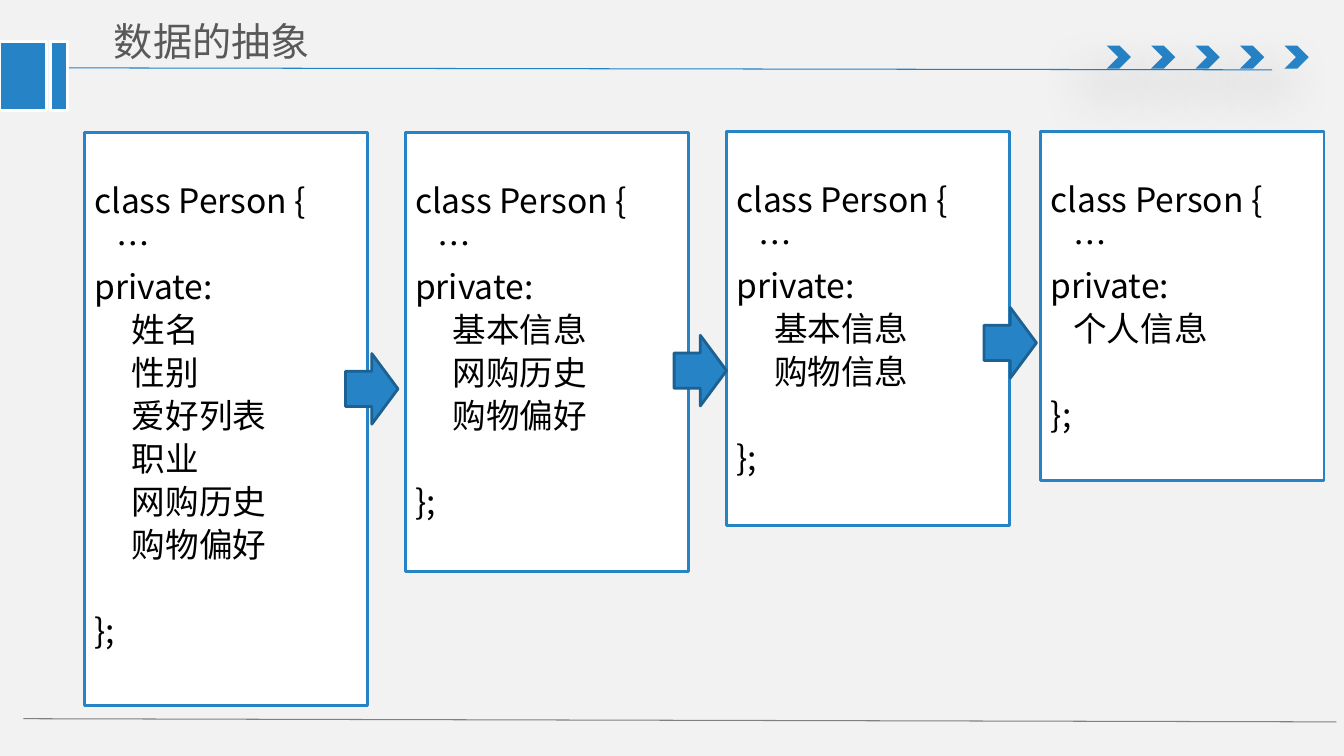
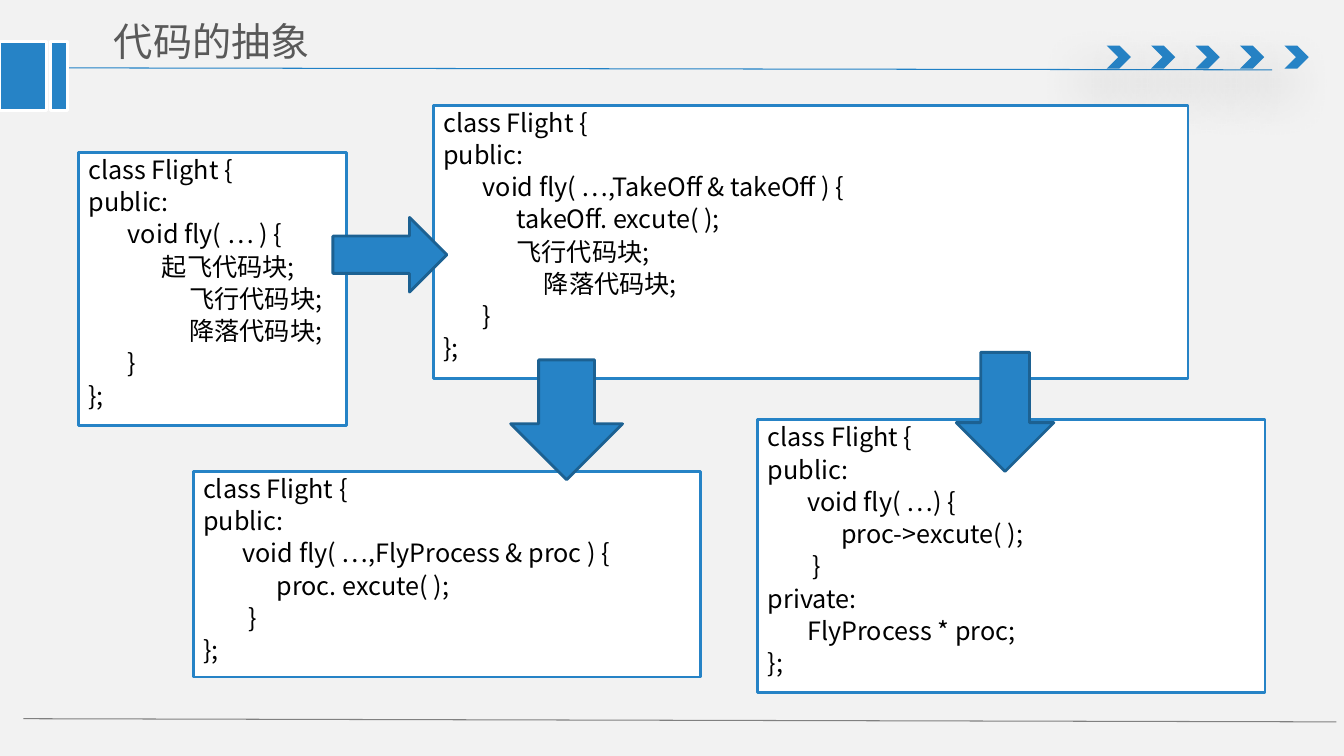
from dataclasses import dataclass

from lxml.etree import SubElement
from pptx import Presentation
from pptx.dml.color import RGBColor
from pptx.enum.shapes import MSO_CONNECTOR, MSO_SHAPE
from pptx.enum.text import MSO_ANCHOR, MSO_AUTO_SIZE, PP_ALIGN
from pptx.oxml.ns import qn
from pptx.util import Cm, Pt


@dataclass(frozen=True)
class Theme:
    background: str = "F2F2F2"
    blue: str = "2683C6"
    dark_blue: str = "1C6192"
    rule_blue: str = "2181C6"
    grey: str = "808080"
    title: str = "595959"
    text: str = "000000"
    white: str = "FFFFFF"
    font: str = "Noto Sans CJK SC"
    title_size: int = 28
    person_size: int = 24
    flight_size: int = 18


theme = Theme()


def add_shape(slide, kind, box, fill, line=None):
    shape = slide.shapes.add_shape(kind, *[Cm(length) for length in box])
    shape.shadow.inherit = False
    shape.fill.solid()
    shape.fill.fore_color.rgb = RGBColor.from_string(fill)
    if line:
        shape.line.color.rgb = RGBColor.from_string(line)
        shape.line.width = Pt(2)
    else:
        shape.line.fill.background()
    return shape


def style_paragraph(paragraph, size, color):
    paragraph.alignment = PP_ALIGN.LEFT
    paragraph.font.size = Pt(size)
    paragraph.font.name = theme.font
    paragraph.font.color.rgb = RGBColor.from_string(color)
    properties = paragraph._p.pPr.find(qn("a:defRPr"))
    SubElement(properties, qn("a:ea"), typeface=theme.font)


# Slide content: code boxes and arrows as left, top, width, height in cm
person_boxes = [
    ((2.13, 3.35, 7.14, 14.43), 5, ["姓名", "性别", "爱好列表", "职业", "网购历史", "购物偏好"]),
    ((10.21, 3.35, 7.14, 11.05), 5, ["基本信息", "网购历史", "购物偏好"]),
    ((18.31, 3.32, 7.14, 9.93), 5, ["基本信息", "购物信息"]),
    ((26.23, 3.32, 7.14, 8.79), 3, ["个人信息"]),
]
person_code = [
    (box, ["class Person {", "   …", "private:"] + [" " * indent + field for field in fields] + ["};"])
    for box, indent, fields in person_boxes
]

flight_boxes = [
    ((1.98, 3.84, 6.76, 6.88), [
        "       void fly( … ) {",
        "             起飞代码块;",
        "\t飞行代码块;",
        "\t降落代码块;",
        "       }",
    ]),
    ((10.92, 2.65, 19.02, 6.88), [
        "       void fly( …,TakeOff & takeOff ) {",
        "             takeOff. excute( );",
        "             飞行代码块;",
        "\t降落代码块;",
        "       }",
    ]),
    ((4.87, 11.88, 12.78, 5.18), [
        "       void fly( …,FlyProcess & proc ) {",
        "             proc. excute( );",
        "        }",
    ]),
    ((19.1, 10.58, 12.78, 6.88), [
        "       void fly( …) {",
        "             proc->excute( );",
        "        }",
        "private:",
        "       FlyProcess * proc;",
    ]),
]
flight_code = [(box, ["class Flight {", "public:"] + body + ["};"]) for box, body in flight_boxes]

# Title, code boxes, type size, top inset (cm), space before the last line (pt), arrows
slide_contents = [
    ("数据的抽象", person_code, theme.person_size, 1.31, 35.6, [
        (MSO_SHAPE.RIGHT_ARROW, (8.71, 8.91, 1.32, 1.78)),
        (MSO_SHAPE.RIGHT_ARROW, (16.99, 8.45, 1.32, 1.78)),
        (MSO_SHAPE.RIGHT_ARROW, (24.8, 7.75, 1.32, 1.78)),
    ]),
    ("代码的抽象", flight_code, theme.flight_size, 0.13, 0.2 * theme.flight_size, [
        (MSO_SHAPE.RIGHT_ARROW, (8.39, 5.48, 2.87, 1.88)),
        (MSO_SHAPE.DOWN_ARROW, (12.87, 9.07, 2.82, 3.02)),
        (MSO_SHAPE.DOWN_ARROW, (24.1, 8.88, 2.46, 3)),
    ]),
]

presentation = Presentation()
presentation.slide_width = Cm(33.87)
presentation.slide_height = Cm(19.05)
background = presentation.slide_master.background.fill
background.solid()
background.fore_color.rgb = RGBColor.from_string(theme.background)
layout = presentation.slide_layouts[5]
slides = [presentation.slides.add_slide(layout) for _ in slide_contents]

# Shared decoration: rules, chevrons and corner blocks
decorations = []
for ends, color in [
    ((1.35, 1.71, 32.06, 1.76), theme.rule_blue),
    ((0.59, 18.11, 33.68, 18.19), theme.grey),
]:
    rule = slides[0].shapes.add_connector(MSO_CONNECTOR.STRAIGHT, *[Cm(length) for length in ends])
    rule.line.color.rgb = RGBColor.from_string(color)
    rule.line.width = Pt(0.75)
    SubElement(rule.element.spPr, qn("a:effectLst"))
    decorations.append(rule)

for index in range(5):
    box = (27.89 + index * 1.12, 1.15, 0.61, 0.58)
    chevron = add_shape(slides[0], MSO_SHAPE.CHEVRON, box, theme.blue)
    effects = chevron.element.spPr.find(qn("a:effectLst"))
    shadow = SubElement(effects, qn("a:outerShdw"), blurRad=str(Pt(38)), dist=str(Pt(24)),
                        dir=str(130 * 60000), algn="tr", rotWithShape="0")
    shadow_color = SubElement(shadow, qn("a:srgbClr"), val="000000")
    SubElement(shadow_color, qn("a:alpha"), val="36000")
    decorations.append(chevron)

for left, width in [(0, 1.17), (1.27, 0.43)]:
    block = add_shape(slides[0], MSO_SHAPE.RECTANGLE, (left, 1.05, width, 1.73), theme.blue, theme.white)
    decorations.append(block)

# The layout carries the decoration for every slide
for number, decoration in enumerate(decorations, start=101):
    decoration.element.xpath(".//p:cNvPr")[0].set("id", str(number))
    layout.shapes.element.append(decoration.element)

for slide, (title_text, code_boxes, size, top_inset, last_gap, arrows) in zip(slides, slide_contents):
    # Title
    title = slide.shapes.title
    title.left, title.top, title.width, title.height = Cm(2.51), Cm(0.34), Cm(11.76), Cm(1.4)
    frame = title.text_frame
    frame.text = title_text
    frame.auto_size = MSO_AUTO_SIZE.NONE
    frame.vertical_anchor = MSO_ANCHOR.MIDDLE
    frame.margin_left = frame.margin_right = Cm(0.36)
    frame.margin_top = frame.margin_bottom = Cm(0.18)
    style_paragraph(frame.paragraphs[0], theme.title_size, theme.title)

    # Code boxes
    for box, lines in code_boxes:
        shape = add_shape(slide, MSO_SHAPE.RECTANGLE, box, theme.white, theme.blue)
        frame = shape.text_frame
        frame.text = "\n".join(lines)
        frame.word_wrap = True
        frame.vertical_anchor = MSO_ANCHOR.TOP
        frame.margin_top = Cm(top_inset)
        for index, paragraph in enumerate(frame.paragraphs):
            tabs = SubElement(paragraph._p.get_or_add_pPr(), qn("a:tabLst"))
            SubElement(tabs, qn("a:tab"), pos=str(Cm(2.54)), algn="l")
            paragraph.line_spacing = 0.9
            if index:
                paragraph.space_before = Pt(0.2 * size)
            style_paragraph(paragraph, size, theme.text)
        frame.paragraphs[-1].space_before = Pt(last_gap)

    # Arrows
    for kind, box in arrows:
        add_shape(slide, kind, box, theme.blue, theme.dark_blue)

presentation.save("out.pptx")
